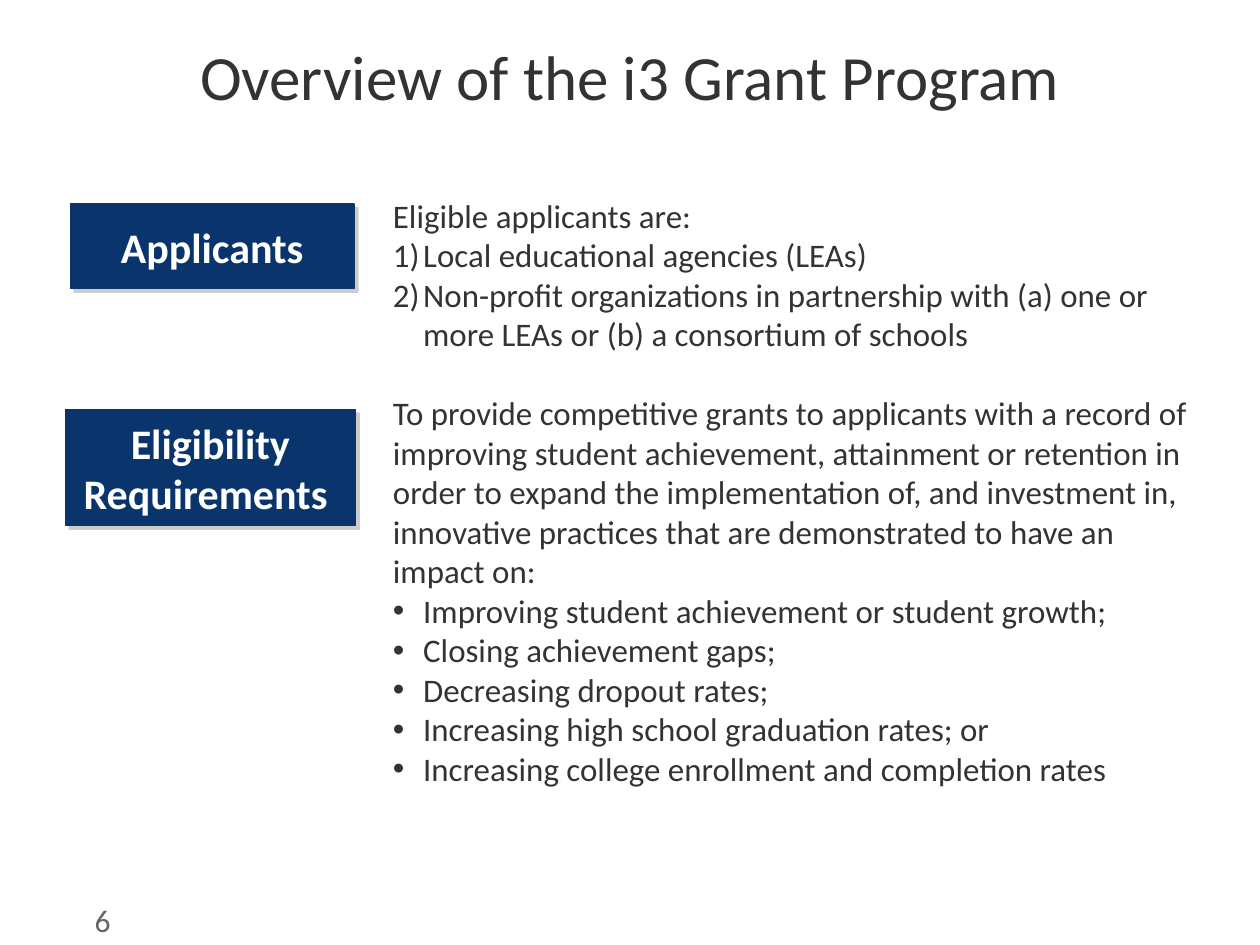
from lxml import etree
from pptx import Presentation
from pptx import util as u
from pptx.dml.color import RGBColor
from pptx.enum import shapes, text
from pptx.oxml import ns

NAVY, DARK, GREY, WHITE = "09356C", "333333", "666666", "FFFFFF"
INTRO = "Eligible applicants are:"
APPLICANTS = [
    "Local educational agencies (LEAs)",
    "Non-profit organizations in partnership with (a) one or more LEAs "
    "or (b) a consortium of schools",
]
PURPOSE = (
    "To provide competitive grants to applicants with a record of improving "
    "student achievement, attainment or retention in order to expand the "
    "implementation of, and investment in, innovative practices that are "
    "demonstrated to have an impact on:"
)
IMPACTS = [
    "Improving student achievement or student growth;",
    "Closing achievement gaps;",
    "Decreasing dropout rates;",
    "Increasing high school graduation rates; or",
    "Increasing college enrollment and completion rates",
]


def color(value):
    return RGBColor.from_string(value)


def add_child(parent, tag, **attributes):
    child = etree.SubElement(parent, ns.qn(tag))
    for name, value in attributes.items():
        child.set(name, str(value))
    return child


class SlideBuilder:
    """Holds the text style and the current slide."""

    font = "Calibri"
    body_size = 18.8
    section_gap = 22.8
    indent = u.Inches(0.24)

    def __init__(self, deck):
        self.slide = deck.slides.add_slide(deck.slide_layouts[5])

    def format_text(self, para, size, tone, bold=False, align=text.PP_ALIGN.LEFT):
        para.alignment = align
        for span in para.runs:
            span.font.name = self.font
            span.font.size = u.Pt(size)
            span.font.bold = bold
            span.font.color.rgb = color(tone)

    def title(self, words, left, top, width, height):
        box = self.slide.shapes.title
        box.left, box.top = u.Inches(left), u.Inches(top)
        box.width, box.height = u.Inches(width), u.Inches(height)
        frame = box.text_frame
        frame.text = words
        frame.auto_size = text.MSO_AUTO_SIZE.NONE
        frame.vertical_anchor = text.MSO_ANCHOR.TOP
        self.format_text(frame.paragraphs[0], 36, DARK, align=text.PP_ALIGN.CENTER)

    def text_box(self, left, top, width, height):
        box = self.slide.shapes.add_textbox(
            u.Inches(left), u.Inches(top), u.Inches(width), u.Inches(height))
        box.text_frame.word_wrap = True
        return box.text_frame

    def page_number(self, number, left, top, width, height):
        frame = self.text_box(left, top, width, height)
        frame.margin_left = frame.margin_right = 0
        frame.text = number
        self.format_text(frame.paragraphs[0], 18, GREY)

    def label(self, words, left, top, width, height):
        box = self.slide.shapes.add_shape(
            shapes.MSO_SHAPE.RECTANGLE,
            u.Inches(left), u.Inches(top), u.Inches(width), u.Inches(height))
        box.fill.solid()
        box.fill.fore_color.rgb = color(NAVY)
        box.line.color.rgb = color(NAVY)
        box.line.width = u.Pt(1)
        self.add_shadow(box)
        frame = box.text_frame
        frame.word_wrap = True
        frame.vertical_anchor = text.MSO_ANCHOR.MIDDLE
        frame.text = words
        self.format_text(frame.paragraphs[0], 24, WHITE, True, text.PP_ALIGN.CENTER)

    def add_shadow(self, box):
        box.shadow.inherit = False
        effects = box._element.spPr.find(ns.qn("a:effectLst"))
        shadow = add_child(effects, "a:outerShdw", dist=u.Pt(3), dir=45 * 60000,
                           algn="ctr", rotWithShape=0)
        tone = add_child(shadow, "a:srgbClr", val="808080")
        add_child(tone, "a:alpha", val=40000)

    def body(self, items, left, top, width, height):
        """Fill a text box from (words, kind) pairs."""
        frame = self.text_box(left, top, width, height)
        for index, (words, kind) in enumerate(items):
            para = frame.add_paragraph() if index else frame.paragraphs[0]
            para.text = words
            self.format_text(para, self.body_size, DARK)
            if kind in ("number", "bullet"):
                self.add_marker(para, kind)
            elif index:
                para.space_before = u.Pt(self.section_gap)

    def add_marker(self, para, kind):
        props = para._p.get_or_add_pPr()
        props.set("marL", str(self.indent))
        props.set("indent", str(-self.indent))
        if kind == "number":
            add_child(props, "a:buFont", typeface=self.font)
            add_child(props, "a:buAutoNum", type="arabicParenR")
        else:
            add_child(props, "a:buFont", typeface="Arial")
            add_child(props, "a:buChar", char="•")


def main():
    deck = Presentation()
    deck.slide_width, deck.slide_height = u.Inches(10), u.Inches(7.5)
    page = SlideBuilder(deck)
    page.title("Overview of the i3 Grant Program", 0.5, 0.25, 9, 0.62)
    page.page_number("6", 0.75, 7.1, 0.58, 0.4)
    items = [(INTRO, "plain")]
    items += [(words, "number") for words in APPLICANTS]
    items += [(PURPOSE, "plain")]
    items += [(words, "bullet") for words in IMPACTS]
    page.body(items, 3.02, 1.5, 6.58, 1.03)
    page.label("Applicants", 0.56, 1.62, 2.25, 0.67)
    page.label("Eligibility Requirements ", 0.52, 3.25, 2.3, 0.92)
    deck.save("out.pptx")


if __name__ == "__main__":
    main()
